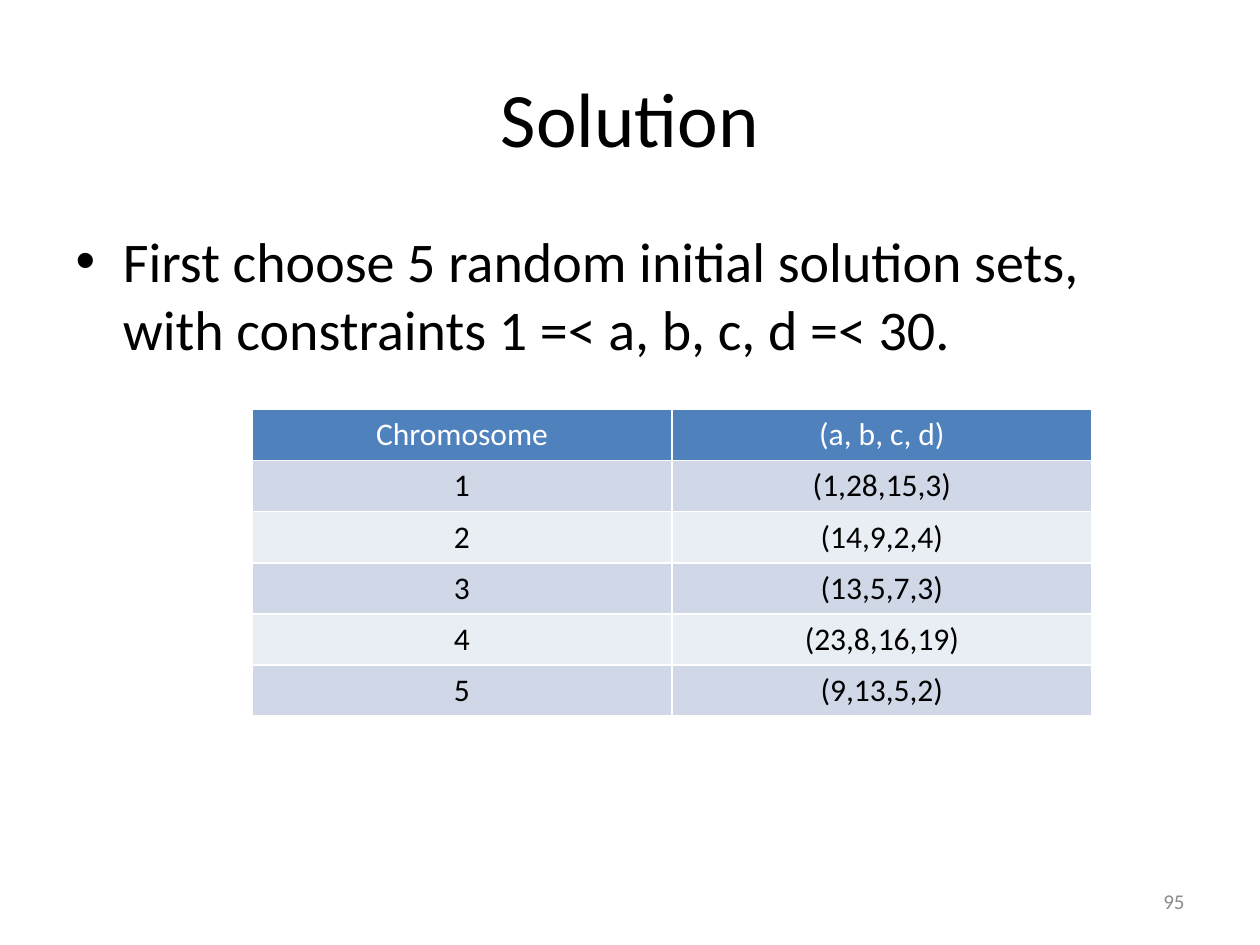
from pptx import Presentation
from pptx.dml.color import RGBColor
from pptx.enum.text import MSO_ANCHOR, PP_ALIGN
from pptx.util import Inches, Pt

COLORS = {
    "text": "000000",
    "header_text": "FFFFFF",
    "header_fill": "4F81BD",
    "odd_row": "D0D8E8",
    "even_row": "E9EDF4",
    "page_number": "8C8C8C",
}
FONT = "Calibri"
SLIDE_WIDTH, SLIDE_HEIGHT = Inches(10), Inches(7.5)
MARGIN = 0.05  # share of the slide's width

CHROMOSOMES = [
    ("Chromosome", "(a, b, c, d)"),
    ("1", "(1,28,15,3)"),
    ("2", "(14,9,2,4)"),
    ("3", "(13,5,7,3)"),
    ("4", "(23,8,16,19)"),
    ("5", "(9,13,5,2)"),
]


def box(left, top, width, height):
    """Turn shares of the slide's size into lengths."""
    return (int(SLIDE_WIDTH * left), int(SLIDE_HEIGHT * top),
            int(SLIDE_WIDTH * width), int(SLIDE_HEIGHT * height))


def write_text(text_frame, text, size=18, color="text",
               align=PP_ALIGN.CENTER, anchor=MSO_ANCHOR.TOP):
    text_frame.word_wrap = True
    text_frame.vertical_anchor = anchor
    paragraph = text_frame.paragraphs[0]
    paragraph.alignment = align
    paragraph.space_before = Pt(0)
    run = paragraph.add_run()
    run.text = text
    run.font.name = FONT
    run.font.size = Pt(size)
    run.font.bold = False
    run.font.color.rgb = RGBColor.from_string(COLORS[color])


def fill_placeholder(shape, area, text, **text_format):
    shape.left, shape.top, shape.width, shape.height = area
    write_text(shape.text_frame, text, **text_format)


def add_data_table(slide, area, rows):
    shape = slide.shapes.add_table(len(rows), len(rows[0]), *area)
    for row_index, row in enumerate(rows):
        is_header = row_index == 0
        fill = "header_fill" if is_header else ("even_row", "odd_row")[row_index % 2]
        for column_index, text in enumerate(row):
            cell = shape.table.cell(row_index, column_index)
            cell.fill.solid()
            cell.fill.fore_color.rgb = RGBColor.from_string(COLORS[fill])
            write_text(cell.text_frame, text,
                       color="header_text" if is_header else "text")


def add_page_number(slide, area, number):
    shape = slide.shapes.add_textbox(*area)
    write_text(shape.text_frame, number, size=12, color="page_number",
               align=PP_ALIGN.RIGHT, anchor=MSO_ANCHOR.MIDDLE)


def main():
    presentation = Presentation()
    presentation.slide_width, presentation.slide_height = SLIDE_WIDTH, SLIDE_HEIGHT
    slide = presentation.slides.add_slide(presentation.slide_layouts[1])

    # Title and bullet
    fill_placeholder(slide.shapes.title, box(MARGIN, 0.04, 1 - 2 * MARGIN, 1 / 6),
                     "Solution", size=44, anchor=MSO_ANCHOR.MIDDLE)
    fill_placeholder(slide.placeholders[1], box(MARGIN, 7 / 30, 0.817, 0.71),
                     "First choose 5 random initial solution sets, "
                     "with constraints 1 =< a, b, c, d =< 30.",
                     size=32, align=PP_ALIGN.LEFT)

    # Initial solution sets
    add_data_table(slide, box(0.2, 13 / 30, 2 / 3, 0.324), CHROMOSOMES)

    # Page number
    add_page_number(slide, box(0.717, 0.927, 0.233, 0.053), "95")

    presentation.save("out.pptx")


if __name__ == "__main__":
    main()
